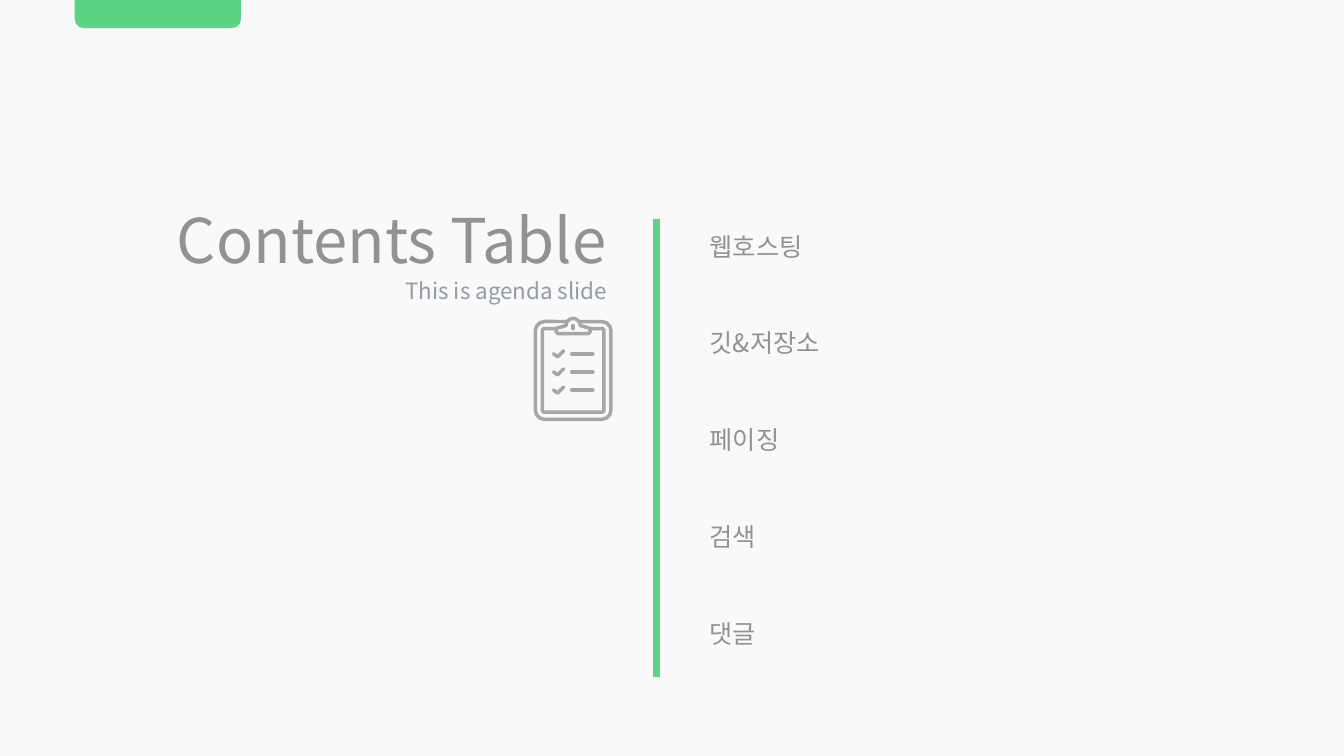
from dataclasses import dataclass
from math import cos, pi, sin

from lxml.etree import SubElement
from pptx import Presentation
from pptx.dml.color import RGBColor
from pptx.enum.shapes import MSO_CONNECTOR, MSO_SHAPE
from pptx.enum.text import MSO_ANCHOR, MSO_AUTO_SIZE, PP_ALIGN
from pptx.oxml.ns import qn
from pptx.util import Inches, Pt


@dataclass(frozen=True)
class Theme:
    font: str = "Noto Sans CJK KR"
    back: RGBColor = RGBColor(0xF9, 0xF9, 0xF9)
    accent: RGBColor = RGBColor(0x5C, 0xD4, 0x84)
    text: RGBColor = RGBColor(0x92, 0x92, 0x92)
    muted: RGBColor = RGBColor(0x93, 0x9B, 0xA5)
    icon: RGBColor = RGBColor(0xA6, 0xA6, 0xA6)
    title_size: int = 44
    subtitle_size: int = 16
    item_size: int = 18
    icon_stroke: float = 2.5
    divider_stroke: float = 4.5


THEME = Theme()
WIDTH, HEIGHT = 13.33, 7.5
ITEMS = ["웹호스팅", "깃&저장소", "페이징", "검색", "댓글"]


def write(shape, text, size, color, align=PP_ALIGN.LEFT):
    frame = shape.text_frame
    frame.text = text
    frame.word_wrap = True
    frame.auto_size = MSO_AUTO_SIZE.NONE
    frame.vertical_anchor = MSO_ANCHOR.MIDDLE
    para = frame.paragraphs[0]
    para.alignment = align
    para.font.size = Pt(size)
    para.font.name = THEME.font
    para.font.color.rgb = color
    east_asian = SubElement(para._p.pPr.find(qn("a:defRPr")), qn("a:ea"))
    east_asian.set("typeface", THEME.font)


def add_text(page, box, *style):
    write(page.shapes.add_textbox(*map(Inches, box)), *style)


def add_line(shapes, start, end, color, width):
    line = shapes.add_connector(
        MSO_CONNECTOR.STRAIGHT, *map(Inches, (*start, *end)))
    line.line.color.rgb = color
    line.line.width = Pt(width)
    SubElement(line._element.spPr, qn("a:effectLst"))
    return line


def round_ends(shape):
    outline = shape._element.spPr.find(qn("a:ln"))
    outline.set("cap", "rnd")
    SubElement(outline, qn("a:round"))


def outline_icon_part(shape, filled=False):
    shape.shadow.inherit = False
    if filled:
        shape.fill.solid()
        shape.fill.fore_color.rgb = THEME.back
    else:
        shape.fill.background()
    shape.line.color.rgb = THEME.icon
    shape.line.width = Pt(THEME.icon_stroke)
    round_ends(shape)


def add_clipboard(page, box):
    """Checklist icon: two frames, a clip, and three ticked rows."""
    left, top, width, height = box
    middle = left + width / 2
    shapes = page.shapes.add_group_shape().shapes

    def stroke(start, end):
        round_ends(add_line(shapes, start, end, THEME.icon, THEME.icon_stroke))

    def trace(points, close):
        builder = shapes.build_freeform(
            *map(Inches, points[0]), scale=1.0)
        builder.add_line_segments(
            [tuple(map(Inches, point)) for point in points[1:]], close=close)
        outline_icon_part(builder.convert_to_shape(), filled=close)

    # Board and sheet
    for side, above, below, radius in ((0.02, 0.05, 0.02, 0.09),
                                       (0.09, 0.12, 0.09, 0.02)):
        frame_width = width - 2 * side
        frame = shapes.add_shape(MSO_SHAPE.ROUNDED_RECTANGLE, *map(Inches, (
            left + side, top + above, frame_width, height - above - below)))
        frame.adjustments[0] = radius / frame_width
        outline_icon_part(frame)

    # Clip: a bar with round ends and a half-round knob
    def arc(x, y, radius, start, end, steps=12):
        angles = [start + (end - start) * step / steps
                  for step in range(steps + 1)]
        return [(x + radius * cos(a), y - radius * sin(a)) for a in angles]

    bar_y, bar_radius, bar_reach = top + 0.14, 0.03, 0.14
    trace(arc(middle - bar_reach, bar_y, bar_radius, 1.5 * pi, pi / 2)
          + arc(middle, top + 0.09, 0.07, pi, 0)
          + arc(middle + bar_reach, bar_y, bar_radius, pi / 2, -pi / 2), True)
    stroke((middle, top + 0.09), (middle, top + 0.12))

    # Ticked rows
    for row in range(3):
        y = top + 0.37 + 0.18 * row
        trace([(left + 0.2, y), (left + 0.24, y + 0.03),
               (left + 0.3, y - 0.03)], False)
        stroke((left + 0.38, y), (left + 0.59, y))


def add_heading(page, box):
    """Title, subtitle and icon, all set against the right edge of the box."""
    left, top, width, height = box
    right = left + width
    title = page.shapes.title
    title.left, title.top, title.width, title.height = map(
        Inches, (left, top, width, 0.84))
    write(title, "Contents Table", THEME.title_size, THEME.text,
          PP_ALIGN.RIGHT)
    add_text(page, (right - 3.86, top + 0.75, 3.86, 0.37),
             "This is agenda slide", THEME.subtitle_size, THEME.muted,
             PP_ALIGN.RIGHT)
    add_clipboard(page, (right - 0.83, top + height - 1.04, 0.79, 1.04))


def add_agenda(page, box):
    """Divider on the left of the box, items spread evenly beside it."""
    left, top, width, height = box
    add_line(page.shapes, (left, top), (left, top + height),
             THEME.accent, THEME.divider_stroke)
    indent, pitch = 0.43, 0.96
    for row, item in enumerate(ITEMS):
        add_text(page, (left + indent, top + 0.07 + row * pitch,
                        width - indent, 0.4),
                 item, THEME.item_size, THEME.text)


def add_tab(page, box):
    """Coloured tab hanging from the top edge."""
    tab = page.shapes.add_shape(
        MSO_SHAPE.ROUND_2_SAME_RECTANGLE, *map(Inches, box))
    tab.adjustments[0], tab.adjustments[1] = 0, 0.33
    tab.shadow.inherit = False
    tab.fill.solid()
    tab.fill.fore_color.rgb = THEME.accent
    tab.line.fill.background()


def main():
    deck = Presentation()
    deck.slide_width, deck.slide_height = Inches(WIDTH), Inches(HEIGHT)
    page = deck.slides.add_slide(deck.slide_layouts[5])
    page.background.fill.solid()
    page.background.fill.fore_color.rgb = THEME.back
    add_tab(page, (0.74, 0, 1.65, 0.28))
    add_heading(page, (0.74, 1.95, 5.38, 2.23))
    add_agenda(page, (6.51, 2.17, 4.38, 4.55))
    deck.save("out.pptx")


if __name__ == "__main__":
    main()
